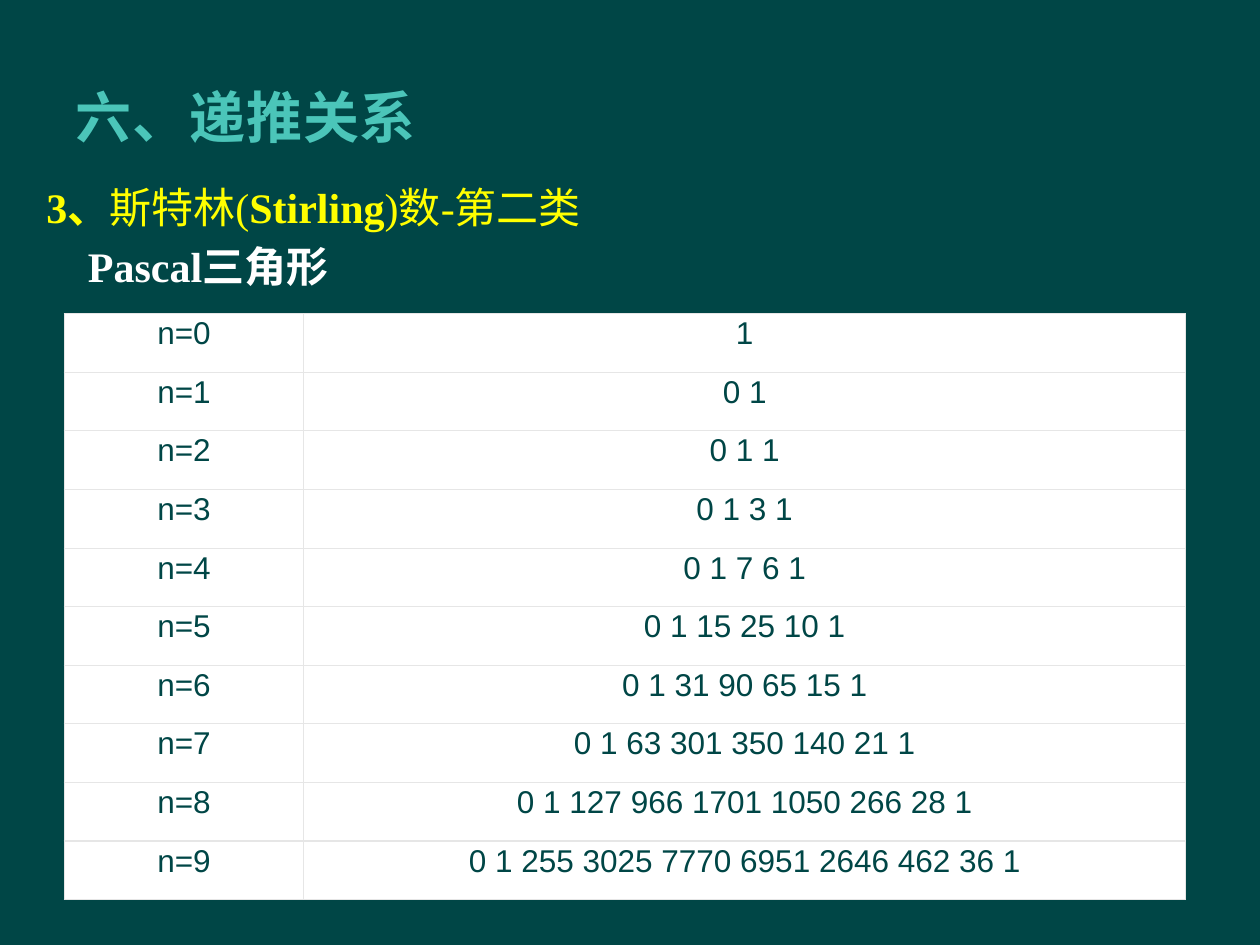
from lxml import etree
from pptx import Presentation
from pptx.dml.color import RGBColor
from pptx.enum import text
from pptx.oxml import ns
from pptx.util import Inches, Pt

BACKGROUND, WHITE, YELLOW = "004646", "FFFFFF", "FFFF00"
TEAL, GRID = "4BC5B9", "E6E6E6"


def color(hex_code):
    return RGBColor.from_string(hex_code)


def stirling_rows(count):
    """Stirling numbers of the second kind, S(n, 0) to S(n, n) for each n."""
    rows = [[1]]
    while len(rows) < count:
        last = rows[-1] + [0]
        rows.append([0] + [last[k - 1] + k * last[k] for k in range(1, len(last))])
    return rows


class SlideBuilder:
    def __init__(self, slide):
        self.slide = slide
        fill = slide.background.fill
        fill.solid()
        fill.fore_color.rgb = color(BACKGROUND)

    def style(self, run, font, size, hex_code, bold=False):
        run.font.name = font
        run.font.size = Pt(size)
        run.font.bold = bold
        run.font.color.rgb = color(hex_code)

    def text_box(self, left, top, width, height, anchor=text.MSO_ANCHOR.TOP):
        box = self.slide.shapes.add_textbox(
            Inches(left), Inches(top), Inches(width), Inches(height))
        frame = box.text_frame
        frame.word_wrap = True
        frame.vertical_anchor = anchor
        return frame

    def title(self, wording):
        frame = self.text_box(0.5, 0.3, 8.5, 1.25, text.MSO_ANCHOR.MIDDLE)
        frame.text = wording
        run = frame.paragraphs[0].runs[0]
        self.style(run, "Lato", 32, TEAL, bold=True)
        run.font._element.set("spc", "50")

    def body(self, lines):
        """Each line is (indent in inches, colour, [(wording, bold), ...])."""
        frame = self.text_box(0.27, 1.39, 9, 1.05)
        for number, (indent, hex_code, parts) in enumerate(lines):
            paragraph = frame.add_paragraph() if number else frame.paragraphs[0]
            paragraph.space_before = Pt(4.8)
            paragraph._p.get_or_add_pPr().set("marL", str(Inches(indent)))
            for wording, bold in parts:
                run = paragraph.add_run()
                run.text = wording
                self.style(run, "Times New Roman", 24, hex_code, bold)

    def cell_borders(self, cell):
        properties = cell._tc.get_or_add_tcPr()
        for side in ("a:lnL", "a:lnR", "a:lnT", "a:lnB"):
            line = etree.SubElement(properties, ns.qn(side), w=str(Pt(0.75)))
            fill = etree.SubElement(line, ns.qn("a:solidFill"))
            etree.SubElement(fill, ns.qn("a:srgbClr"), val=GRID)

    def table(self, rows, widths, left, top, height):
        table = self.slide.shapes.add_table(
            len(rows), len(widths), Inches(left), Inches(top),
            Inches(sum(widths)), Inches(height)).table
        for column, width in zip(table.columns, widths):
            column.width = Inches(width)
        for r, row in enumerate(rows):
            for c, wording in enumerate(row):
                self.cell(table.cell(r, c), wording)

    def cell(self, cell, wording):
        self.cell_borders(cell)
        cell.fill.solid()
        cell.fill.fore_color.rgb = color(WHITE)
        cell.margin_left = cell.margin_right = Inches(0.1)
        cell.margin_top = cell.margin_bottom = Inches(0.02)
        cell.text_frame.text = wording
        paragraph = cell.text_frame.paragraphs[0]
        paragraph.alignment = text.PP_ALIGN.CENTER
        self.style(paragraph.runs[0], "Arial", 18, BACKGROUND)


def main():
    deck = Presentation()
    deck.slide_width, deck.slide_height = Inches(10), Inches(7.5)
    builder = SlideBuilder(deck.slides.add_slide(deck.slide_layouts[6]))

    builder.title("六、递推关系")
    builder.body([
        (0, YELLOW, [("3、", True), ("斯特林(", False),
                     ("Stirling", True), (")数-第二类", False)]),
        (0.33, WHITE, [("Pascal三角形", True)]),
    ])
    triangle = [(f"n={n}", " ".join(map(str, numbers)))
                for n, numbers in enumerate(stirling_rows(10))]
    builder.table(triangle, widths=(1.9, 7), left=0.51, top=2.49, height=4.65)

    deck.save("out.pptx")


if __name__ == "__main__":
    main()
